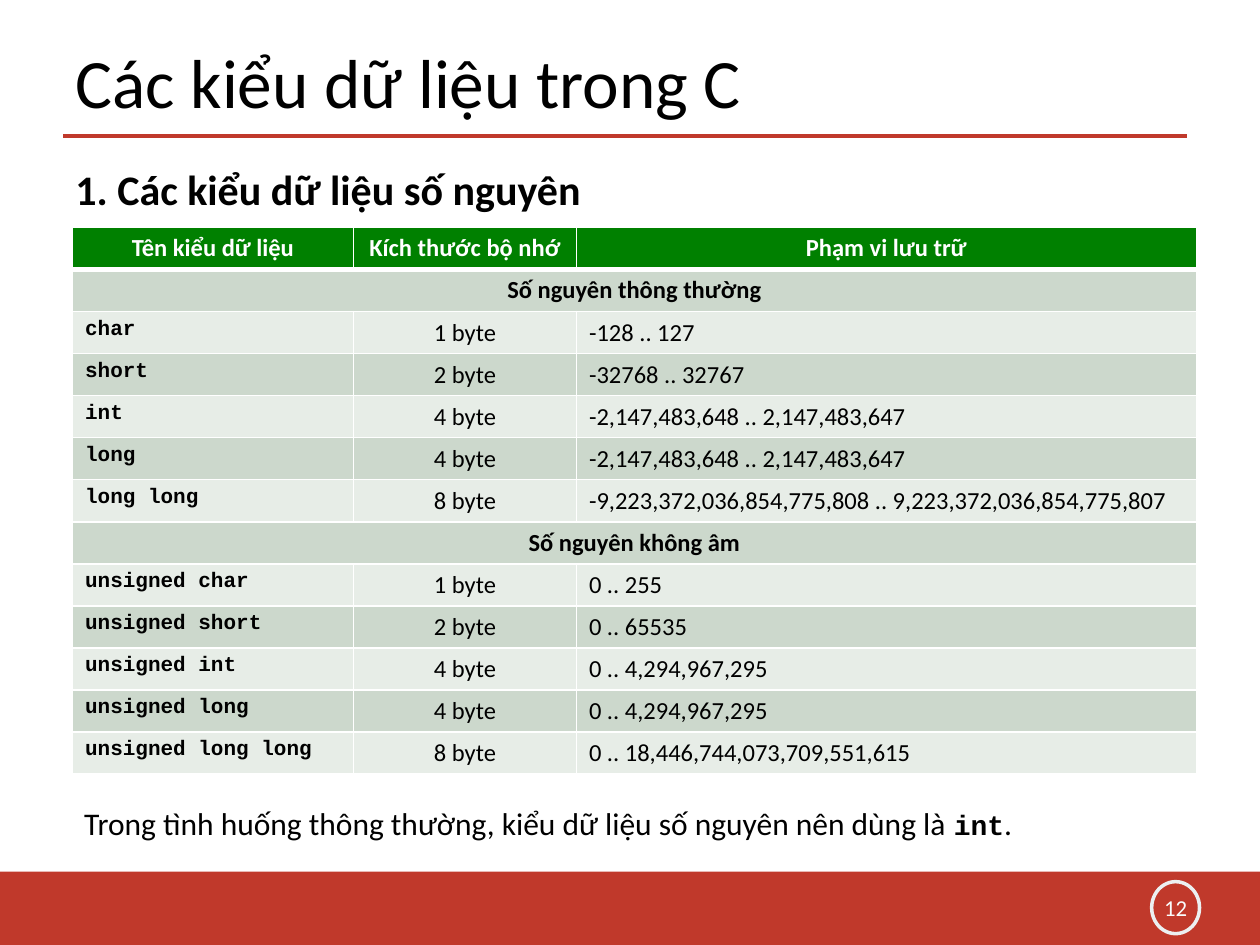
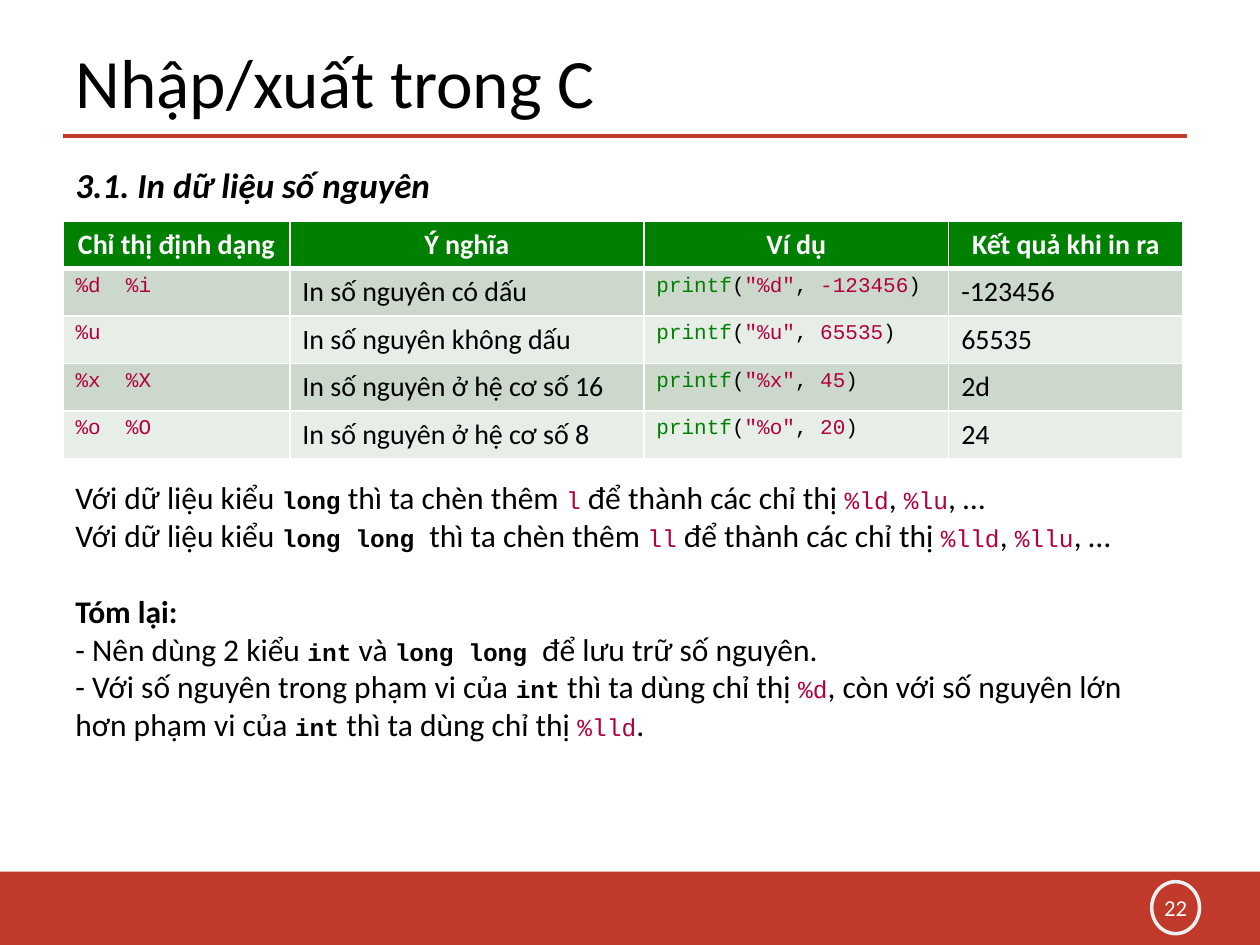
from collections import namedtuple

from lxml import etree
from pptx import Presentation
from pptx.dml.color import RGBColor
from pptx.enum.shapes import MSO_CONNECTOR, MSO_SHAPE
from pptx.enum.text import MSO_ANCHOR, MSO_AUTO_SIZE, PP_ALIGN
from pptx.oxml.ns import qn
from pptx.util import Inches, Pt

LEFT, CENTER = PP_ALIGN.LEFT, PP_ALIGN.CENTER
TOP, MIDDLE = MSO_ANCHOR.TOP, MSO_ANCHOR.MIDDLE
NO_AUTOFIT = MSO_AUTO_SIZE.NONE
STRAIGHT = MSO_CONNECTOR.STRAIGHT
RECTANGLE, OVAL = MSO_SHAPE.RECTANGLE, MSO_SHAPE.OVAL

RED = RGBColor(0xC0, 0x39, 0x2B)
RING = RGBColor(0xEC, 0xF0, 0xF1)
PAGE = RGBColor(0xFA, 0xFC, 0xFC)
GREEN = RGBColor(0x00, 0x80, 0x00)
DARK_BAND = RGBColor(0xCC, 0xD8, 0xCC)
LIGHT_BAND = RGBColor(0xE7, 0xED, 0xE7)
CRIMSON = RGBColor(0xB0, 0x00, 0x40)
BLACK = RGBColor(0x00, 0x00, 0x00)
WHITE = RGBColor(0xFF, 0xFF, 0xFF)

SANS, MONO = "Calibri", "Courier New"
WIDTH, HEIGHT = Inches(10), Inches(7.5)

Run = namedtuple("Run", "text size font color bold italic",
                 defaults=(18, SANS, BLACK, False, False))


def across(percent):
    return round(WIDTH * percent / 100)


def down(percent):
    return round(HEIGHT * percent / 100)


def box(left, top, width, height):
    return across(left), down(top), across(width), down(height)


def keyword(text, size=14):
    return Run(text, size, MONO, bold=True)


def directive(text, size=14):
    return Run(text, size, MONO, CRIMSON)


def printf_call(template, value):
    return [Run("printf", 12, MONO, GREEN), Run("(", 12, MONO),
            directive(f'"{template}"', 12), Run(", ", 12, MONO),
            directive(value, 12), Run(")", 12, MONO)]


def write(p, runs, align=LEFT):
    p.alignment = align
    for run in runs:
        r = p.add_run()
        r.text = run.text
        r.font.size = Pt(run.size)
        r.font.name = run.font
        r.font.color.rgb = run.color
        r.font.bold = run.bold
        r.font.italic = run.italic


def add_text(s, place, paragraphs, align=LEFT, anchor=TOP):
    tf = s.shapes.add_textbox(*box(*place)).text_frame
    tf.word_wrap = True
    tf.vertical_anchor = anchor
    for i, runs in enumerate(paragraphs):
        write(tf.add_paragraph() if i else tf.paragraphs[0], runs, align)
    return tf


def add_rule(s, left, right, y):
    rule = s.shapes.add_connector(STRAIGHT, across(left), down(y), across(right), down(y))
    rule.line.color.rgb = RED
    rule.line.width = Pt(2.25)
    etree.SubElement(rule._element.spPr, qn("a:effectLst"))


def add_footer(s, number):
    band = s.shapes.add_shape(RECTANGLE, *box(0, 92.25, 100, 7.75))
    band.fill.solid()
    band.fill.fore_color.rgb = RED
    band.line.fill.background()
    ring = s.shapes.add_shape(OVAL, *box(91.4, 93.3, 3.8, 5.5))
    ring.fill.background()
    ring.line.color.rgb = RING
    ring.line.width = Pt(2)
    for shape in (band, ring):
        shape.shadow.inherit = False
    add_text(s, (90.8, 93.9, 5, 4.3), [[Run(str(number), 13, color=PAGE)]], CENTER, MIDDLE)


def add_slide(prs, title, heading, number):
    s = prs.slides.add_slide(prs.slide_layouts[5])
    sp = s.shapes.title
    sp.left, sp.top, sp.width, sp.height = box(5, 4, 80, 9.2)
    tf = sp.text_frame
    tf.auto_size = NO_AUTOFIT
    tf.vertical_anchor = MIDDLE
    write(tf.paragraphs[0], [Run(title, 39.6)])
    add_rule(s, 5, 94.2, 14.4)
    add_footer(s, number)
    add_text(s, (5, 16.67, 90, 7), [[heading]])
    return s


def add_borders(cell, top, bottom):
    tc_pr = cell._tc.get_or_add_tcPr()
    for side, points in (("L", 1), ("R", 1), ("T", top), ("B", bottom)):
        line = etree.SubElement(tc_pr, qn(f"a:ln{side}"), w=str(Pt(points)))
        fill = etree.SubElement(line, qn("a:solidFill"))
        etree.SubElement(fill, qn("a:srgbClr"), val=str(WHITE))


def add_grid(s, left, top, columns, row_height, size, header, rows, centered=()):
    header_row = [[Run(name, size, color=WHITE, bold=True)] for name in header]
    rows = [header_row] + rows
    table = s.shapes.add_table(len(rows), len(columns), *box(
        left, top, sum(columns), row_height * len(rows))).table
    for column, width in zip(table.columns, columns):
        column.width = across(width)
    for i, row in enumerate(rows):
        table.rows[i].height = down(row_height)
        section = len(row) == 1
        for j in range(len(columns)):
            cell = table.cell(i, j)
            add_borders(cell, 3 if i == 1 else 1, 3 if i == 0 else 1)
            cell.fill.solid()
            cell.fill.fore_color.rgb = (
                GREEN if i == 0 else DARK_BAND if i % 2 else LIGHT_BAND)
            if j < len(row):
                middle = i == 0 or section or j in centered
                write(cell.text_frame.paragraphs[0], row[j], CENTER if middle else LEFT)
        if section:
            table.cell(i, 0).merge(table.cell(i, len(columns) - 1))


def type_rows(section, types):
    return [[[Run(section, 14, bold=True)]]] + [
        [[keyword(name, 12)], [Run(f"{size} byte", 14)], [Run(limits, 14)]]
        for name, size, limits in types]


def integer_types_slide(prs):
    s = add_slide(prs, "Các kiểu dữ liệu trong C",
                  Run("1. Các kiểu dữ liệu số nguyên", 24, bold=True), 12)
    signed = [
        ("char", 1, "-128 .. 127"),
        ("short", 2, "-32768 .. 32767"),
        ("int", 4, "-2,147,483,648 .. 2,147,483,647"),
        ("long", 4, "-2,147,483,648 .. 2,147,483,647"),
        ("long long", 8, "-9,223,372,036,854,775,808 .. 9,223,372,036,854,775,807"),
    ]
    unsigned = [
        ("unsigned char", 1, "0 .. 255"),
        ("unsigned short", 2, "0 .. 65535"),
        ("unsigned int", 4, "0 .. 4,294,967,295"),
        ("unsigned long", 4, "0 .. 4,294,967,295"),
        ("unsigned long long", 8, "0 .. 18,446,744,073,709,551,615"),
    ]
    add_grid(s, 5.75, 24.05, (22.3, 17.7, 49.2), 4.3, 14,
             ("Tên kiểu dữ liệu", "Kích thước bộ nhớ", "Phạm vi lưu trữ"),
             type_rows("Số nguyên thông thường", signed)
             + type_rows("Số nguyên không âm", unsigned), centered=(1,))
    add_text(s, (5.7, 84.4, 84.2, 5.4), [[
        Run("Trong tình huống thông thường, kiểu dữ liệu số nguyên nên dùng là "),
        keyword("int", 16), Run(".")]])


def length_note(type_name, joint, prefix):
    return [Run("Với dữ liệu kiểu "), keyword(type_name),
            Run(joint + "thì ta chèn thêm "), directive(prefix),
            Run(" để thành các chỉ thị "), directive(f"%{prefix}d"),
            Run(", "), directive(f"%{prefix}u"), Run(", …")]


def integer_output_slide(prs):
    s = add_slide(prs, "Nhập/xuất trong C",
                  Run("3.1. In dữ liệu số nguyên", 20, bold=True, italic=True), 22)
    formats = [
        ("%d  %i", "In số nguyên có dấu", "%d", "-123456", "-123456"),
        ("%u", "In số nguyên không dấu", "%u", "65535", "65535"),
        ("%x  %X", "In số nguyên ở hệ cơ số 16", "%x", "45", "2d"),
        ("%o  %O", "In số nguyên ở hệ cơ số 8", "%o", "20", "24"),
    ]
    add_grid(s, 5, 23.4, (18, 28.1, 24.2, 18.6), 5.03, 16,
             ("Chỉ thị định dạng", "Ý nghĩa", "Ví dụ", "Kết quả khi in ra"),
             [[[directive(codes, 12)], [Run(meaning, 16)],
               printf_call(template, value), [Run(result, 16)]]
              for codes, meaning, template, value, result in formats])
    tf = add_text(s, (5, 49.9, 88.9, 29.6), [
        length_note("long", " ", "l"),
        length_note("long long ", "", "ll"),
        [Run("Tóm lại:", bold=True)],
        [Run("- Nên dùng 2 kiểu "), keyword("int"), Run(" và "),
         keyword("long long "), Run("để lưu trữ số nguyên.")],
        [Run("- Với số nguyên trong phạm vi của "), keyword("int"),
         Run(" thì ta dùng chỉ thị "), directive("%d"),
         Run(", còn với số nguyên lớn hơn phạm vi của "), keyword("int"),
         Run(" thì ta dùng chỉ thị "), directive("%lld"), Run(".")],
    ])
    tf.paragraphs[2].space_before = Pt(22)


def main():
    prs = Presentation()
    prs.slide_width, prs.slide_height = WIDTH, HEIGHT
    integer_types_slide(prs)
    integer_output_slide(prs)
    prs.save("out.pptx")


if __name__ == "__main__":
    main()
